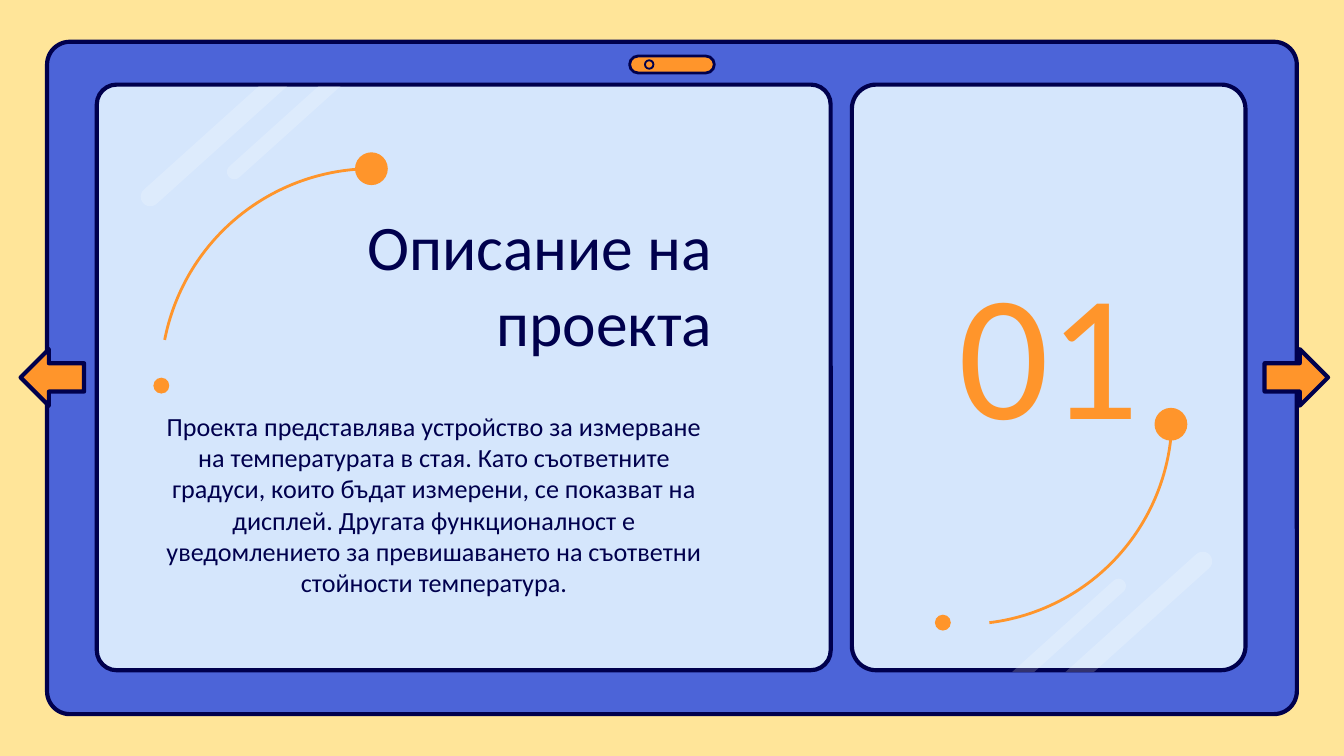
import math
from dataclasses import dataclass

import pptx
import pptx.dml.color
import pptx.enum.shapes
import pptx.enum.text
import pptx.oxml.ns
import pptx.util
from lxml import etree

Cm, Pt = pptx.util.Cm, pptx.util.Pt
SHAPE = pptx.enum.shapes.MSO_SHAPE
ANCHOR = pptx.enum.text.MSO_ANCHOR
ALIGN = pptx.enum.text.PP_ALIGN


@dataclass(frozen=True)
class Theme:
    page: str = "FFE599"
    frame: str = "4C64D8"
    panel: str = "D5E6FC"
    ink: str = "00004D"
    accent: str = "FF952B"
    glare: str = "FFFFFF"
    font: str = "Calibri"
    title: float = 34
    body: float = 14
    number: float = 96
    border: float = 2.25
    thin: float = 1.5
    ring: float = 1


THEME = Theme()


def rgb(value):
    return pptx.dml.color.RGBColor.from_string(value)


def style(sp, fill=None, line=None, width=THEME.border):
    sp.shadow.inherit = False
    if fill:
        sp.fill.solid()
        sp.fill.fore_color.rgb = rgb(fill)
    else:
        sp.fill.background()
    if line:
        sp.line.color.rgb = rgb(line)
        sp.line.width = Pt(width)
    else:
        sp.line.fill.background()


def add_preset(s, kind, box, adj=(), **look):
    sp = s.shapes.add_shape(kind, *map(Cm, box))
    for i, value in enumerate(adj):
        sp.adjustments[i] = value
    style(sp, **look)
    return sp


def add_circle(s, x, y, radius, **look):
    box = (x - radius, y - radius, 2 * radius, 2 * radius)
    add_preset(s, SHAPE.OVAL, box, **look)


def add_text(s, box, text, size, color, align, anchor=ANCHOR.MIDDLE):
    tf = s.shapes.add_textbox(*map(Cm, box)).text_frame
    tf.word_wrap = True
    tf.vertical_anchor = anchor
    tf.margin_left = tf.margin_right = tf.margin_top = tf.margin_bottom = 0
    p = tf.paragraphs[0]
    p.text = text
    p.alignment = align
    p.font.name, p.font.size = THEME.font, Pt(size)
    p.font.color.rgb = rgb(color)


def add_glare(s, x, y, sign):
    """Two translucent streaks cut off at the panel edge y; sign -1 turns them by 180°."""
    slope = math.tan(math.radians(42))
    for cap_x, cap_y, radius in ((1.01, 2.09, 0.18), (2.6, 1.62, 0.14)):
        cap = [(cap_x + radius * math.cos(math.radians(a)),
                cap_y + radius * math.sin(math.radians(a)))
               for a in range(48, 229, 15)]
        ends = [(px + py / slope, 0) for px, py in (cap[-1], cap[0])]
        points = [(Cm(x + sign * px), Cm(y + sign * py)) for px, py in cap + ends]
        builder = s.shapes.build_freeform(*points[0])
        builder.add_line_segments(points[1:], close=True)
        sp = builder.convert_to_shape()
        style(sp, fill=THEME.glare)
        color = sp.element.spPr.find(".//" + pptx.oxml.ns.qn("a:srgbClr"))
        etree.SubElement(color, pptx.oxml.ns.qn("a:alpha"), val="20000")


def add_orbit(s, center, radius, angles, big, small):
    """An arc (clockwise degrees) with a large and a small dot."""
    cx, cy = center
    # Arc angles are 60000ths of a degree, adjustments are 100000ths.
    add_preset(s, SHAPE.ARC, (cx - radius, cy - radius, 2 * radius, 2 * radius),
               [a * 0.6 for a in angles], line=THEME.accent, width=THEME.thin)
    add_circle(s, *big, 0.31, fill=THEME.accent)
    add_circle(s, *small, 0.15, fill=THEME.accent)


def add_panel(s, box, corner):
    add_preset(s, SHAPE.ROUNDED_RECTANGLE, box, [corner],
               fill=THEME.panel, line=THEME.ink)


def add_tablet(s, box):
    x, y, w, h = box
    add_preset(s, SHAPE.ROUNDED_RECTANGLE, box, [0.034],
               fill=THEME.frame, line=THEME.ink)
    pill_w, pill_h = 1.6, 0.32
    middle = x + w / 2
    add_preset(s, SHAPE.ROUNDED_RECTANGLE,
               (middle - pill_w / 2, y + 0.27, pill_w, pill_h), [0.5],
               fill=THEME.accent, line=THEME.ink, width=THEME.thin)
    add_circle(s, middle - 0.43, y + 0.27 + pill_h / 2, 0.08,
               line=THEME.ink, width=THEME.ring)


def add_description(s, box, title, body):
    x, y, w, h = box
    add_panel(s, box, 0.034)
    add_glare(s, x, y + 0.03, 1)
    add_orbit(s, (x + 5.21, y + 5.59), 4, (191, 272),
              (x + 5.19, y + 1.59), (x + 1.22, y + 5.69))
    add_text(s, (x + 2.26, y + 1.96, 9.37, 3.58), title,
             THEME.title, THEME.ink, ALIGN.RIGHT)
    add_text(s, (x + 1.12, y + 6.15, 10.51, 2.49), body,
             THEME.body, THEME.ink, ALIGN.CENTER, ANCHOR.TOP)


def add_number(s, box, number):
    x, y, w, h = box
    add_panel(s, box, 0.062)
    add_glare(s, x + w + 0.2, y + h + 0.03, -1)
    add_orbit(s, (x + 2.12, y + 6.27), 3.93, (0, 83),
              (x + 6.03, y + 6.42), (x + 1.72, y + 10.17))
    add_text(s, (x + 1.07, y + 3.18, 5.31, 3.58), number,
             THEME.number, THEME.accent, ALIGN.CENTER)


def add_arrows(s, lefts, y, w, h):
    for kind, x in zip((SHAPE.LEFT_ARROW, SHAPE.RIGHT_ARROW), lefts):
        add_preset(s, kind, (x, y, w, h), (0.5, 0.5),
                   fill=THEME.accent, line=THEME.ink)


def main():
    prs = pptx.Presentation()
    prs.slide_width, prs.slide_height = Cm(25.4), Cm(14.29)
    s = prs.slides.add_slide(prs.slide_layouts[6])
    s.background.fill.solid()
    s.background.fill.fore_color.rgb = rgb(THEME.page)

    add_tablet(s, (0.89, 0.79, 23.62, 12.71))
    add_description(
        s, (1.83, 1.6, 13.87, 11.07), "Описание на проекта",
        "Проекта представлява устройство за измерване на температурата в стая. "
        "Като съответните градуси, които бъдат измерени, се показват на дисплей. "
        "Другата функционалност е уведомлението за превишаването на съответни "
        "стойности температура.")
    add_number(s, (16.1, 1.6, 7.44, 11.07), "01")
    add_arrows(s, (0.39, 23.9), 6.6, 1.2, 1.07)
    prs.save("out.pptx")


if __name__ == "__main__":
    main()
